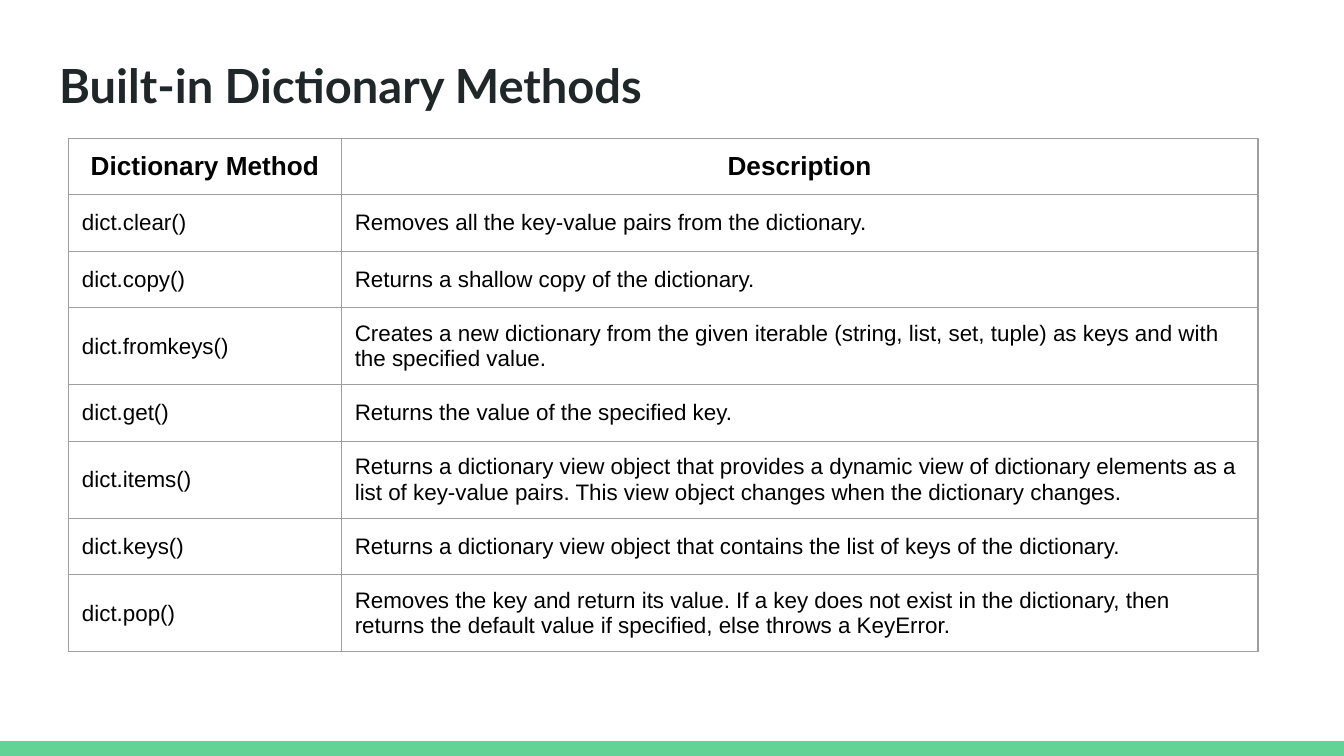
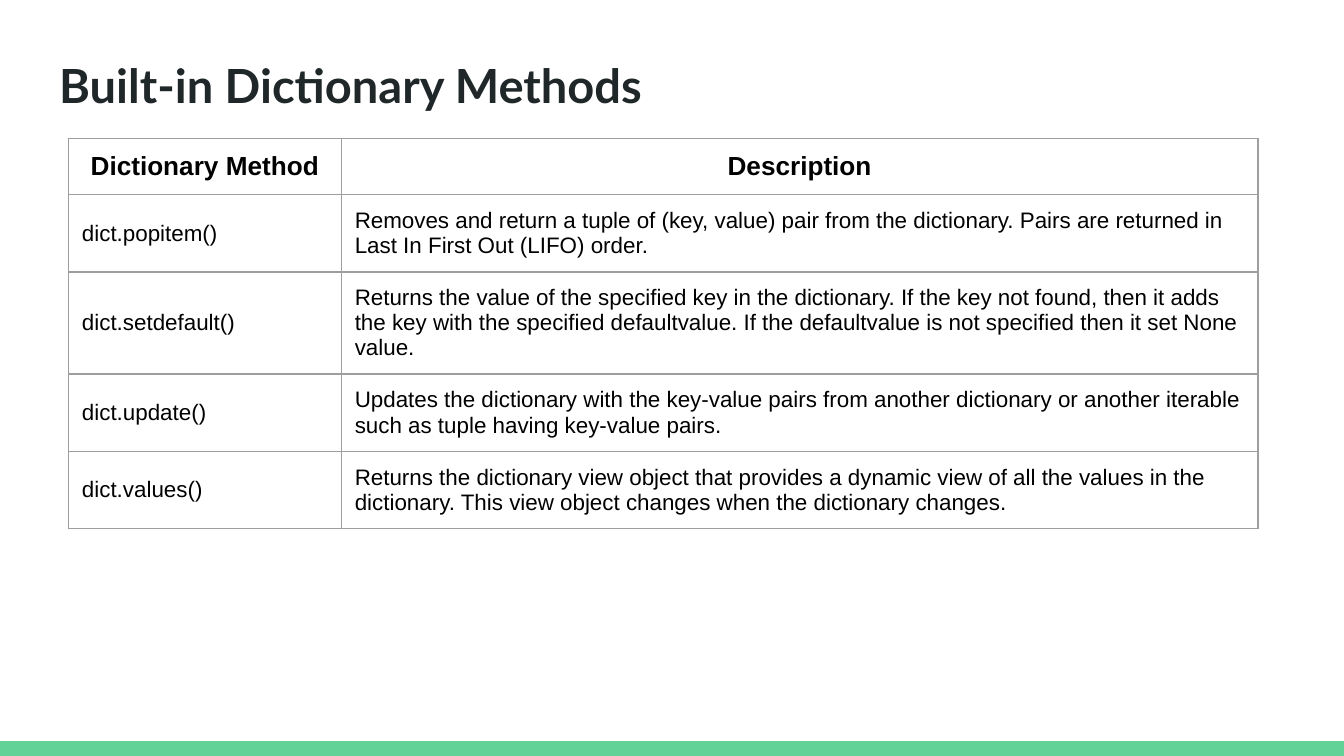
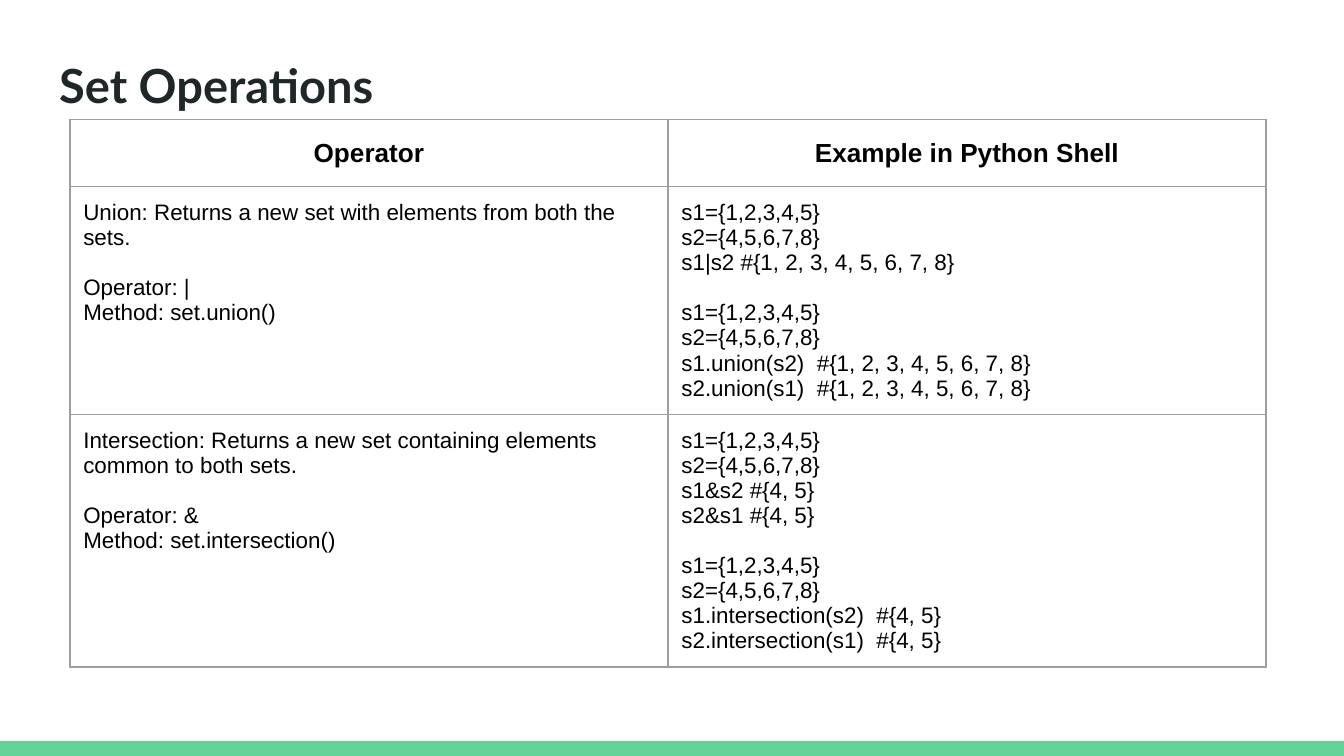
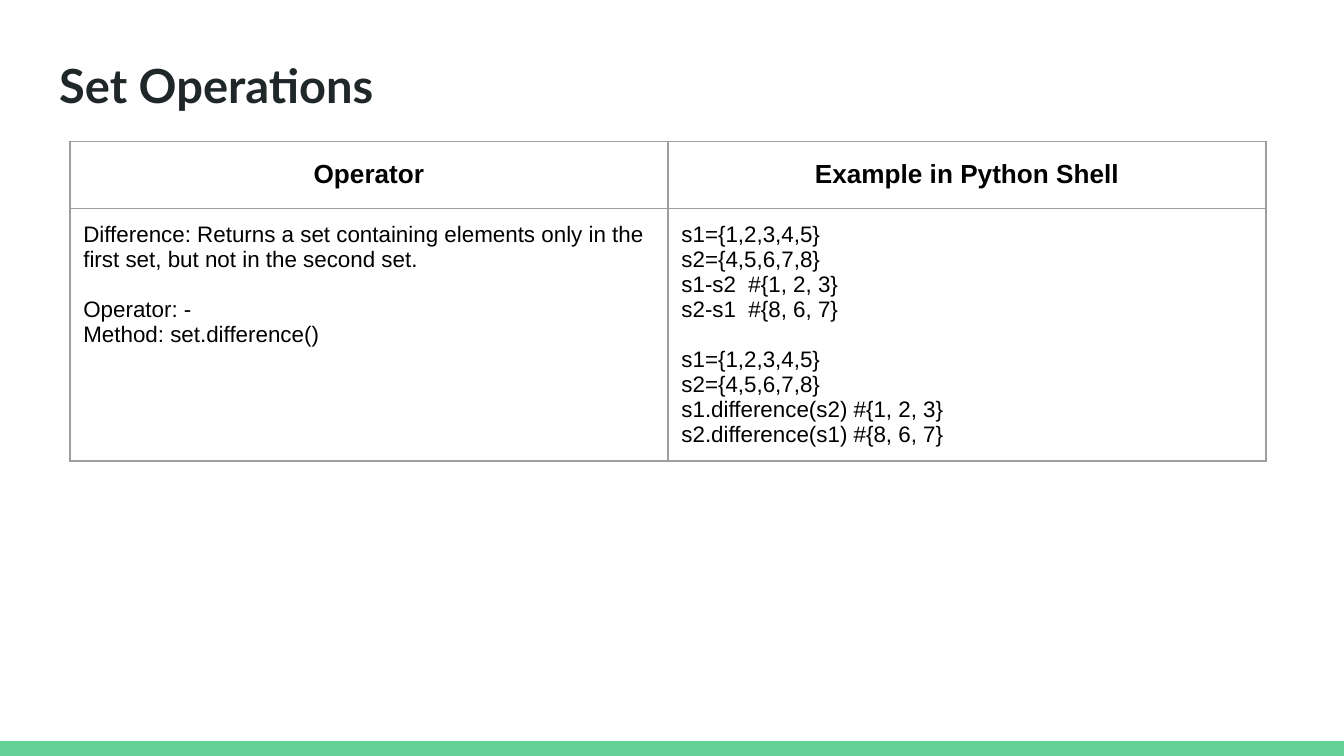
from lxml import etree
from pptx import Presentation
from pptx.dml.color import RGBColor
from pptx.enum import shapes, text
from pptx.oxml import ns
from pptx.util import Inches, Pt

GREEN = RGBColor(0x63, 0xD2, 0x97)
INK = RGBColor(0x20, 0x27, 0x29)
BLACK = RGBColor(0, 0, 0)
RULE = "9E9E9E"
WIDE = Inches(10)
HIGH = WIDE * 9 // 16
PAD = Inches(0.1)
GAP = Pt(13.4)  # one line of 12 pt text
MIDDLE, TOP = text.MSO_ANCHOR.MIDDLE, text.MSO_ANCHOR.TOP

SETS = ["s1={1,2,3,4,5}", "s2={4,5,6,7,8}"]
METHOD_HEAD = ("Dictionary Method", "Description")
SET_HEAD = ("Operator", "Example in Python Shell")

METHODS = [
    ("dict.clear()", "Removes all the key-value pairs from the dictionary."),
    ("dict.copy()", "Returns a shallow copy of the dictionary."),
    ("dict.fromkeys()", "Creates a new dictionary from the given iterable "
     "(string, list, set, tuple) as keys and with the specified value."),
    ("dict.get()", "Returns the value of the specified key."),
    ("dict.items()", "Returns a dictionary view object that provides a dynamic "
     "view of dictionary elements as a list of key-value pairs. "
     "This view object changes when the dictionary changes."),
    ("dict.keys()", "Returns a dictionary view object that contains the list "
     "of keys of the dictionary."),
    ("dict.pop()", "Removes the key and return its value. If a key does not "
     "exist in the dictionary, then returns the default value if specified, "
     "else throws a KeyError."),
]
MORE_METHODS = [
    ("dict.popitem()", "Removes and return a tuple of (key, value) pair from "
     "the dictionary. Pairs are returned in Last In First Out (LIFO) order."),
    ("dict.setdefault()", "Returns the value of the specified key in the "
     "dictionary. If the key not found, then it adds the key with the specified "
     "defaultvalue. If the defaultvalue is not specified then it set None value."),
    ("dict.update()", "Updates the dictionary with the key-value pairs from "
     "another dictionary or another iterable such as tuple having key-value pairs."),
    ("dict.values()", "Returns the dictionary view object that provides a dynamic "
     "view of all the values in the dictionary. "
     "This view object changes when the dictionary changes."),
]
# Each row: meaning, operator, method, operator lines, method lines
UNION = ("Union: Returns a new set with elements from both the sets.",
         "|", "union",
         ["s1|s2 #{1, 2, 3, 4, 5, 6, 7, 8}"],
         ["s1.union(s2)  #{1, 2, 3, 4, 5, 6, 7, 8}",
          "s2.union(s1)  #{1, 2, 3, 4, 5, 6, 7, 8}"])
COMMON = ("Intersection: Returns a new set containing elements common to both sets.",
          "&", "intersection",
          ["s1&s2 #{4, 5}", "s2&s1 #{4, 5}"],
          ["s1.intersection(s2)  #{4, 5}", "s2.intersection(s1)  #{4, 5}"])
DIFF = ("Difference: Returns a set containing elements only in the first set, "
        "but not in the second set.",
        "-", "difference",
        ["s1-s2  #{1, 2, 3}", "s2-s1  #{8, 6, 7}"],
        ["s1.difference(s2) #{1, 2, 3}", "s2.difference(s1) #{8, 6, 7}"])


def add_band(slide):
    """Put the green foot band on the layout that the slides share."""
    tall = Inches(0.11)
    band = slide.shapes.add_shape(shapes.MSO_SHAPE.RECTANGLE, 0, HIGH - tall,
                                  WIDE, tall)
    band.shadow.inherit = False
    band.fill.solid()
    band.fill.fore_color.rgb = GREEN
    band.line.fill.background()
    slide.slide_layout.shapes.element.append(band.element)


def style(para, size, color, face, bold):
    font = para.font
    font.size, font.name, font.bold = Pt(size), face, bold
    font.color.rgb = color


def add_slide(deck, title):
    slide = deck.slides.add_slide(deck.slide_layouts[5])
    box = slide.shapes.title
    box.left, box.top = Inches(0.34), Inches(0.32)
    box.width, box.height = Inches(9.32), Inches(0.63)
    frame = box.text_frame
    frame.text = title
    frame.auto_size = text.MSO_AUTO_SIZE.NONE
    frame.vertical_anchor = TOP
    frame.margin_left = frame.margin_right = PAD
    frame.margin_top = frame.margin_bottom = PAD
    para = frame.paragraphs[0]
    para.alignment = text.PP_ALIGN.LEFT
    style(para, 25.2, INK, "Lato", True)
    return slide


def add_rules(cell):
    """Draw a thin grey line on the four sides of a cell."""
    props = cell._tc.get_or_add_tcPr()
    for side in ("a:lnL", "a:lnR", "a:lnT", "a:lnB"):
        line = etree.SubElement(props, ns.qn(side), w=str(Pt(0.75)))
        fill = etree.SubElement(line, ns.qn("a:solidFill"))
        etree.SubElement(fill, ns.qn("a:srgbClr"), val=RULE)


def fill_cell(cell, blocks, head, anchor):
    """Write blocks of lines, with a gap of one line between blocks."""
    add_rules(cell)
    cell.fill.background()
    cell.margin_left = cell.margin_right = PAD
    cell.margin_top = cell.margin_bottom = PAD
    cell.vertical_anchor = anchor
    frame = cell.text_frame
    frame.text = "\n".join(line for block in blocks for line in block)
    for para in frame.paragraphs:
        style(para, 14 if head else 12, BLACK, "Arial", head)
        if head:
            para.alignment = text.PP_ALIGN.CENTER
    start = 0
    for block in blocks[:-1]:
        start += len(block)
        frame.paragraphs[start].space_before = GAP


def add_grid(slide, left, top, cols, heights, rows, anchors):
    """Add a table; heights and anchors are pairs for head and body rows."""
    tall = heights[0] + heights[1] * (len(rows) - 1)
    grid = slide.shapes.add_table(len(rows), len(cols), Inches(left), Inches(top),
                                  Inches(sum(cols)), Inches(tall)).table
    grid.first_row = grid.horz_banding = False
    for col, width in zip(grid.columns, cols):
        col.width = Inches(width)
    for r, row in enumerate(rows):
        kind = min(r, 1)
        grid.rows[r].height = Inches(heights[kind])
        for c, blocks in enumerate(row):
            fill_cell(grid.cell(r, c), blocks, r == 0, anchors[kind])


def plain(row):
    return [[[words]] for words in row]


def set_row(about, sign, name, by_sign, by_name):
    return [[[about], [f"Operator: {sign}", f"Method: set.{name}()"]],
            [SETS + by_sign, SETS + by_name]]


def method_slide(deck, methods):
    slide = add_slide(deck, "Built-in Dictionary Methods")
    rows = [plain(row) for row in [METHOD_HEAD] + methods]
    add_grid(slide, 0.51, 1.03, (2.03, 6.82), (0.42, 0.42), rows, (TOP, MIDDLE))
    return slide


def set_slide(deck, top, *items):
    slide = add_slide(deck, "Set Operations")
    rows = [plain(SET_HEAD)] + [set_row(*item) for item in items]
    add_grid(slide, 0.52, top, (4.45, 4.45), (0.5, 0.77), rows, (MIDDLE, TOP))


def main():
    deck = Presentation()
    deck.slide_width, deck.slide_height = WIDE, HIGH
    add_band(method_slide(deck, METHODS))
    method_slide(deck, MORE_METHODS)
    set_slide(deck, 0.89, UNION, COMMON)
    set_slide(deck, 1.05, DIFF)
    deck.save("out.pptx")


if __name__ == "__main__":
    main()
